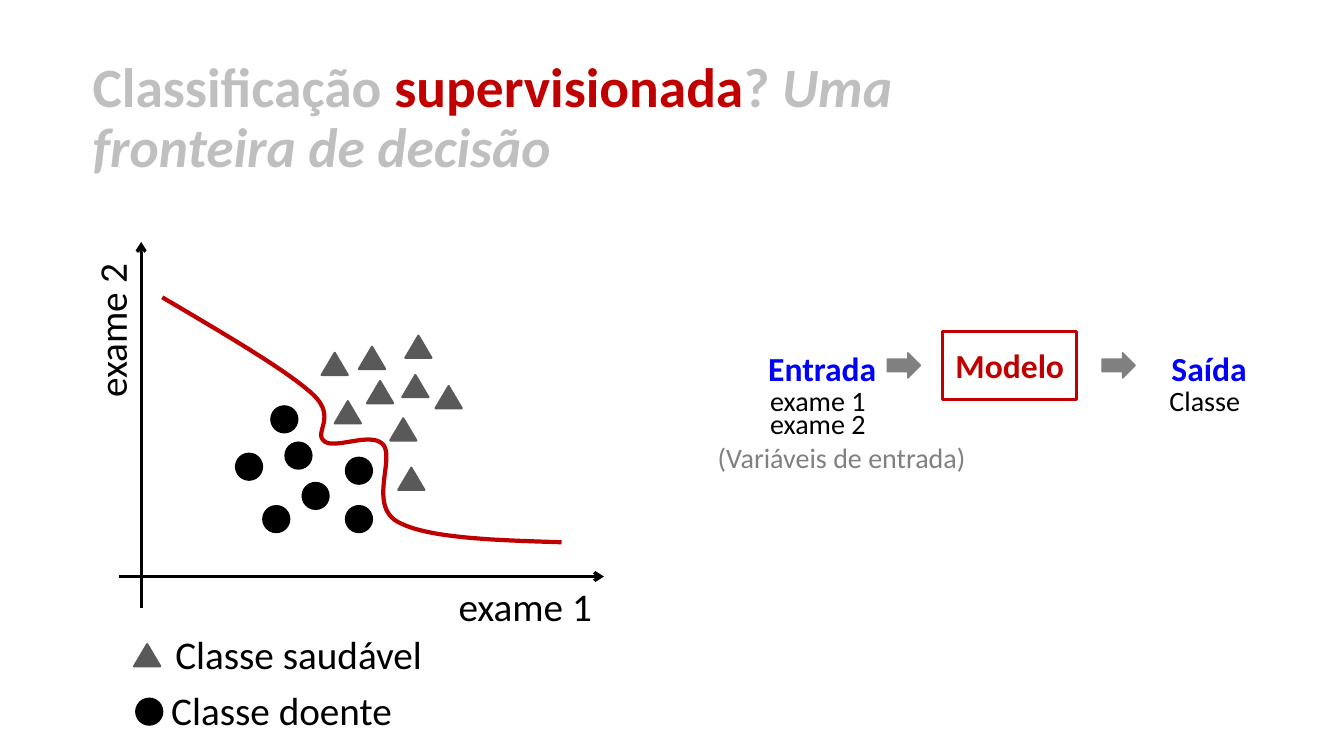
from lxml import etree
from pptx import Presentation
from pptx.dml.color import RGBColor
from pptx.enum.shapes import MSO_CONNECTOR, MSO_SHAPE
from pptx.enum.text import MSO_ANCHOR, MSO_AUTO_SIZE, PP_ALIGN
from pptx.oxml.ns import qn
from pptx.util import Inches, Pt

OVAL = MSO_SHAPE.OVAL
TRIANGLE = MSO_SHAPE.ISOSCELES_TRIANGLE
ARROW = MSO_SHAPE.RIGHT_ARROW
BOX = MSO_SHAPE.RECTANGLE
STRAIGHT = MSO_CONNECTOR.STRAIGHT
MIDDLE = MSO_ANCHOR.MIDDLE
CENTER = PP_ALIGN.CENTER
GROW = MSO_AUTO_SIZE.SHAPE_TO_FIT_TEXT

FONT = "Calibri"
HEX = {"black": "000000", "red": "C00000", "blue": "0000FF",
       "pale": "BFBFBF", "gray": "808080", "dark": "595959"}
INK = {name: RGBColor.from_string(code) for name, code in HEX.items()}

deck = Presentation()
deck.slide_width, deck.slide_height = Inches(13.33), Inches(7.5)
slide = deck.slides.add_slide(deck.slide_layouts[6])
shapes = slide.shapes

# Grid: 13.33 columns by 7.5 rows
COL = deck.slide_width / 13.33
ROW = deck.slide_height / 7.5


def put_shape(kind, x, y, w, h, fill=None, line=None, width=1.5):
    shape = shapes.add_shape(kind, int(x * COL), int(y * ROW), int(w * COL), int(h * ROW))
    shape.shadow.inherit = False
    if fill:
        shape.fill.solid()
        shape.fill.fore_color.rgb = INK[fill]
    else:
        shape.fill.background()
    if line:
        shape.line.color.rgb = INK[line]
        shape.line.width = Pt(width)
    else:
        shape.line.fill.background()
    return shape


def style(run, size, color, bold=False, italic=False):
    run.font.name = FONT
    run.font.size = Pt(size)
    run.font.color.rgb = INK[color]
    run.font.bold = bold
    run.font.italic = italic


# Title
title = shapes.add_textbox(int(0.82 * COL), int(0.56 * ROW), int(9.52 * COL), int(1.25 * ROW))
frame = title.text_frame
frame.word_wrap = True
frame.vertical_anchor = MIDDLE
para = frame.paragraphs[0]
para.line_spacing = 0.9
for text, color, italic in [
    ("Classificação ", "pale", False),
    ("supervisionada", "red", False),
    ("? ", "pale", False),
    ("Uma fronteira de decisão", "pale", True),
]:
    run = para.add_run()
    run.text = text
    style(run, 39.6, color, True, italic)

# Axes
for x1, y1, x2, y2 in [(1.4, 6.03, 1.4, 2.4), (1.18, 5.72, 5.99, 5.72)]:
    axis = shapes.add_connector(STRAIGHT, int(x1 * COL), int(y1 * ROW),
                                int(x2 * COL), int(y2 * ROW))
    axis.line.color.rgb = INK["black"]
    axis.line.width = Pt(2.25)
    etree.SubElement(axis.line._get_or_add_ln(), qn("a:tailEnd"), type="arrow")
    etree.SubElement(axis.element.spPr, qn("a:effectLst"))

# Sick class, last point is the legend key
for x, y in [(2.33, 4.49), (2.82, 4.38), (2.99, 4.78), (2.6, 5.01),
             (3.42, 5.01), (2.68, 4.02), (3.42, 4.53), (1.34, 6.92)]:
    put_shape(OVAL, x, y, 0.28, 0.28, "black")

# Healthy class, last point is the legend key
for x, y in [(3.19, 3.5), (3.64, 3.78), (3.32, 3.98), (3.99, 3.72), (3.87, 4.15),
             (3.56, 3.44), (4.02, 3.33), (3.95, 4.64), (4.32, 3.83), (1.33, 6.39)]:
    put_shape(TRIANGLE, x, y, 0.26, 0.22, "dark", "dark")

# Decision border: cubic curves sampled into short steps
STEPS = 24
start = (1.61, 2.95)
curves = [
    [(2.22, 3.31), (2.82, 3.66), (3.09, 3.9)],
    [(3.36, 4.14), (3.1, 4.29), (3.22, 4.38)],
    [(3.33, 4.46), (3.68, 4.28), (3.8, 4.41)],
    [(3.92, 4.55), (3.65, 5.02), (3.95, 5.18)],
    [(4.24, 5.34), (4.91, 5.36), (5.57, 5.38)],
]
points = [start]
for b, c, d in curves:
    a = points[-1]
    for step in range(1, STEPS + 1):
        t = step / STEPS
        s = 1 - t
        points.append(tuple(
            s**3 * a[i] + 3 * s * s * t * b[i] + 3 * s * t * t * c[i] + t**3 * d[i]
            for i in (0, 1)))
path = [(int(x * COL), int(y * ROW)) for x, y in points]
pen = shapes.build_freeform(*path[0])
pen.add_line_segments(path[1:], close=False)
border = pen.convert_to_shape()
border.shadow.inherit = False
border.fill.background()
border.line.color.rgb = INK["red"]
border.line.width = Pt(3)

# Model box and flow arrows
model = put_shape(BOX, 9.35, 3.29, 1.33, 0.67, line="red", width=2.25)
model.text_frame.text = "Modelo"
model.text_frame.vertical_anchor = MIDDLE
para = model.text_frame.paragraphs[0]
para.alignment = CENTER
style(para.runs[0], 24, "red", True)
for x in (8.8, 10.93):
    put_shape(ARROW, x, 3.5, 0.33, 0.25, "gray", "gray", 1)

# Labels: text, left, top, width, height, size, color, bold, turn
for text, x, y, w, h, size, color, bold, turn in [
    ("exame 1", 4.45, 5.73, 1.57, 0.57, 28, "black", False, 0),
    ("exame 2", 0.32, 2.97, 1.57, 0.57, 28, "black", False, 270),
    ("Classe saudável", 1.64, 6.2, 2.74, 0.57, 28, "black", False, 0),
    ("Classe doente", 1.6, 6.76, 2.46, 0.57, 28, "black", False, 0),
    ("Entrada", 7.52, 3.4, 1.29, 0.5, 24, "blue", True, 0),
    ("Saída", 11.52, 3.4, 0.96, 0.5, 24, "blue", True, 0),
    ("exame 1", 7.54, 3.76, 1.16, 0.44, 20, "black", False, 0),
    ("exame 2", 7.54, 3.98, 1.16, 0.44, 20, "black", False, 0),
    ("Classe", 11.5, 3.76, 0.91, 0.44, 20, "black", False, 0),
    ("(Variáveis de entrada)", 7.02, 4.32, 2.69, 0.44, 20, "gray", False, 0),
]:
    label = shapes.add_textbox(int(x * COL), int(y * ROW), int(w * COL), int(h * ROW))
    label.rotation = turn
    frame = label.text_frame
    frame.text = text
    frame.word_wrap = False
    frame.auto_size = GROW
    style(frame.paragraphs[0].runs[0], size, color, bold)

deck.save("out.pptx")
